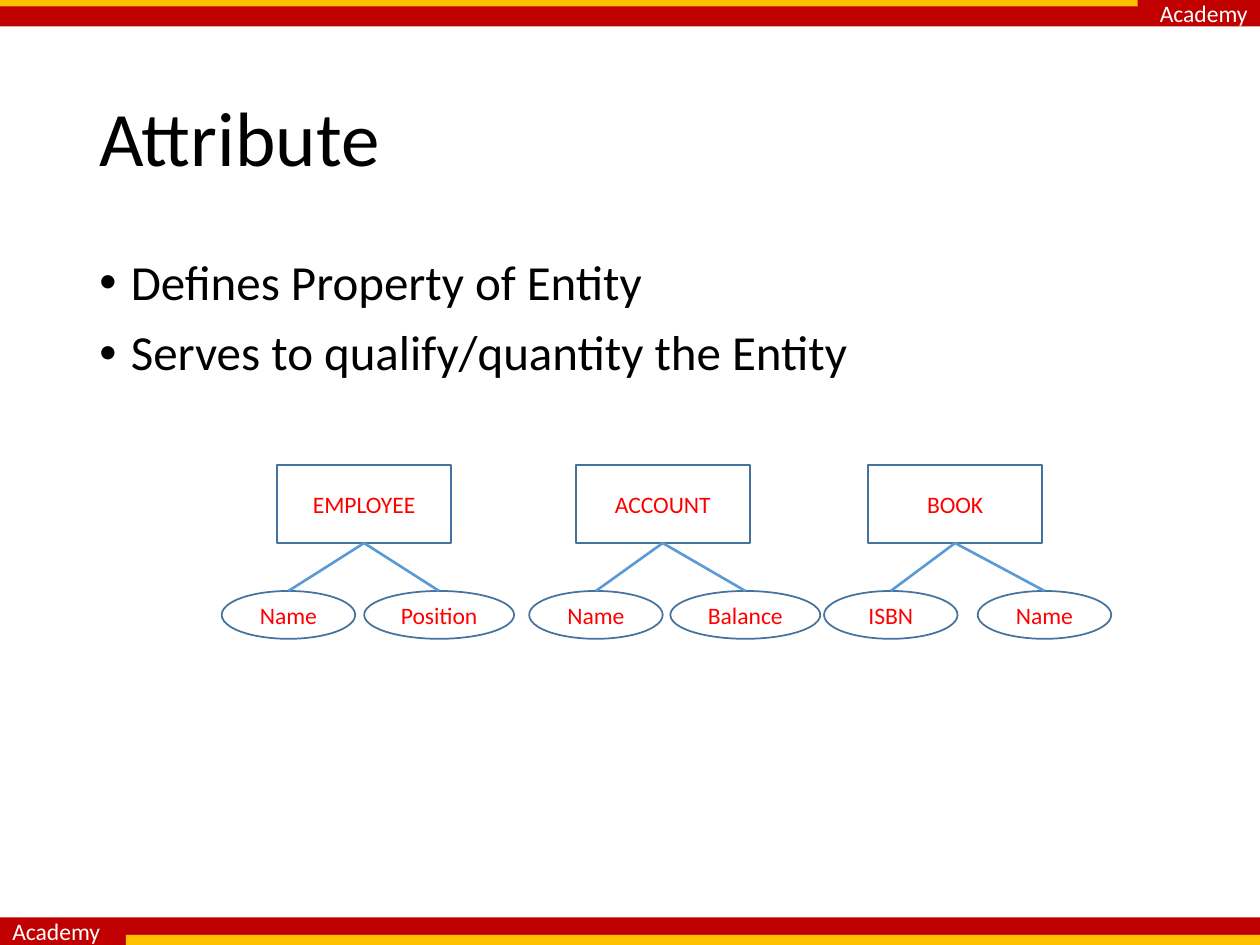
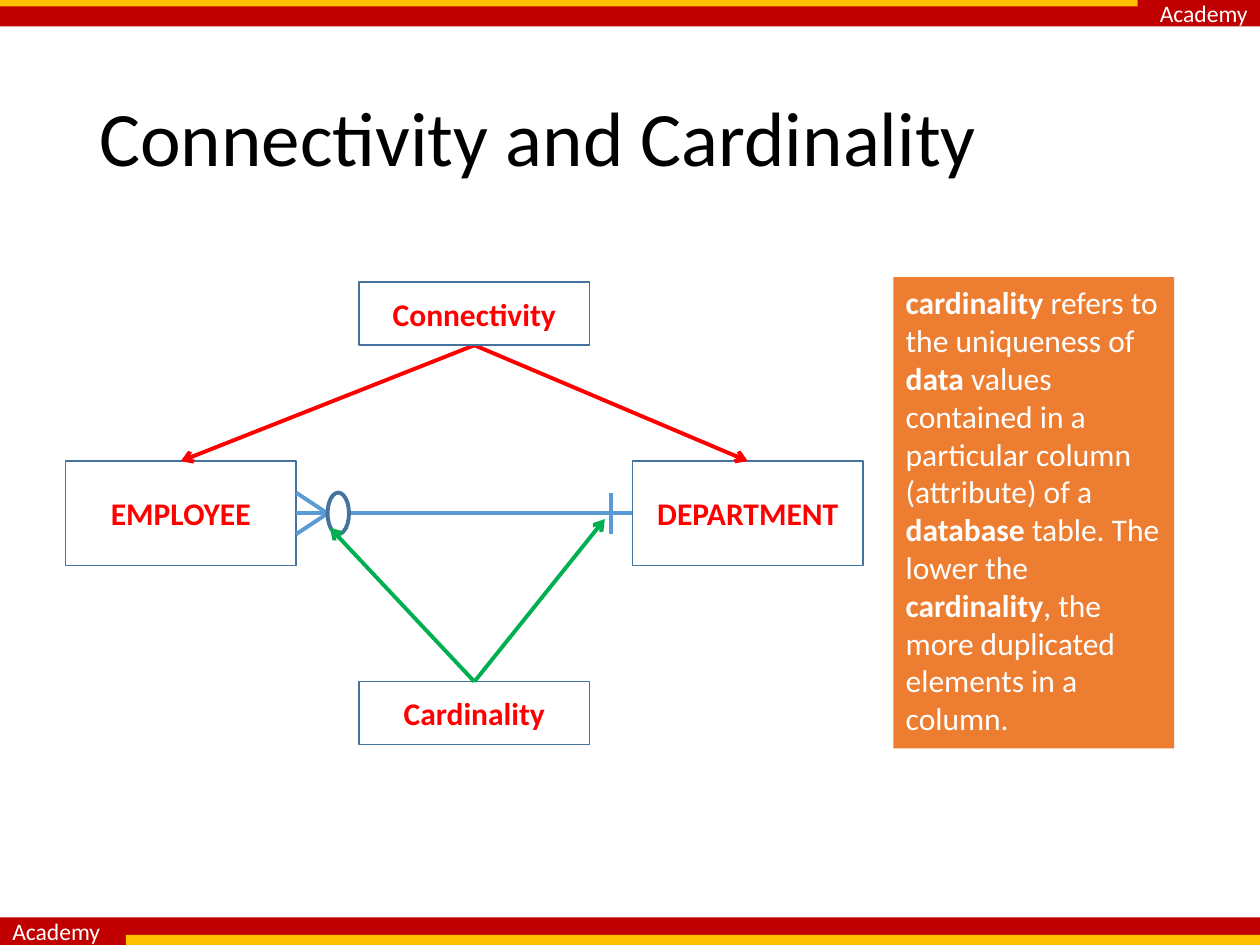
import dataclasses

import lxml.etree
import pptx
import pptx.dml.color
import pptx.enum.shapes
import pptx.enum.text
import pptx.oxml.ns
import pptx.util

SHAPE = pptx.enum.shapes.MSO_SHAPE
ALIGN = pptx.enum.text.PP_ALIGN
ANCHOR = pptx.enum.text.MSO_ANCHOR


@dataclasses.dataclass(frozen=True)
class Theme:
    """Colours, type sizes and line widths shared by the slides."""
    font: str = "Calibri"
    white: str = "FFFFFF"
    black: str = "000000"
    red: str = "FF0000"
    band: str = "C00000"
    strip: str = "FFC000"
    outline: str = "43739E"
    link: str = "5B9BD5"
    green: str = "00B050"
    note: str = "ED7D31"
    title_size: float = 44
    body_size: float = 28
    label_size: float = 18
    small_size: float = 13.5
    thin: float = 1
    medium: float = 1.5
    thick: float = 2.25


THEME = Theme()
COLUMNS, ROWS = 100, 75
BRAND = "Academy"


def colour(value):
    """Turn a hexadecimal value into a colour."""
    return pptx.dml.color.RGBColor.from_string(value)


def add_child(parent, tag, **attributes):
    """Append a drawing element to a parent element."""
    return lxml.etree.SubElement(parent, pptx.oxml.ns.qn(tag), attributes)


def write_text(shape, text, *, size, color, bold=False, align=ALIGN.LEFT,
               anchor=ANCHOR.MIDDLE, spacing=None, before=None, bullet=None):
    """Write one paragraph per line, with ** switching the weight."""
    frame = shape.text_frame
    frame.word_wrap = True
    frame.vertical_anchor = anchor
    for index, line in enumerate(text.split("\n")):
        paragraph = frame.add_paragraph() if index else frame.paragraphs[0]
        paragraph.alignment = align
        paragraph.line_spacing = spacing
        if before:
            paragraph.space_before = pptx.util.Pt(before)
        if bullet:
            properties = paragraph._p.get_or_add_pPr()
            indent = pptx.util.Inches(0.25)
            properties.set("marL", str(indent))
            properties.set("indent", str(-indent))
            add_child(properties, "a:buFont", typeface="Arial")
            add_child(properties, "a:buChar", char=bullet)
        for position, piece in enumerate(line.split("**")):
            if piece:
                run = paragraph.add_run()
                run.text = piece
                run.font.name = THEME.font
                run.font.size = pptx.util.Pt(size)
                run.font.bold = bold != (position % 2 == 1)
                run.font.color.rgb = colour(color)


class Deck:
    """Builds slides on a grid of columns and rows."""

    def __init__(self):
        """Start a presentation with a 10 by 7.5 inch slide size."""
        self.presentation = pptx.Presentation()
        self.presentation.slide_width = pptx.util.Inches(10)
        self.presentation.slide_height = pptx.util.Inches(7.5)
        self.slide = None

    def place(self, column, row):
        """Convert a column and a row to slide lengths."""
        return (round(self.presentation.slide_width * column / COLUMNS),
                round(self.presentation.slide_height * row / ROWS))

    def shape(self, kind, column, row, width, height, fill, line=None, weight=THEME.thin):
        """Add a filled preset shape with an optional outline."""
        shape = self.slide.shapes.add_shape(
            kind, *self.place(column, row), *self.place(width, height))
        shape.shadow.inherit = False
        shape.fill.solid()
        shape.fill.fore_color.rgb = colour(fill)
        if line:
            shape.line.color.rgb = colour(line)
            shape.line.width = pptx.util.Pt(weight)
        else:
            shape.line.fill.background()
        return shape

    def node(self, kind, text, column, row, width, height, **text_format):
        """Add an outlined white shape with a centred red label."""
        shape = self.shape(kind, column, row, width, height, THEME.white, THEME.outline)
        write_text(shape, text, color=THEME.red, align=ALIGN.CENTER, **text_format)

    def text(self, text, column, row, width, height, **text_format):
        """Add a text box."""
        box = self.slide.shapes.add_textbox(
            *self.place(column, row), *self.place(width, height))
        write_text(box, text, **text_format)

    def line(self, start, end, color, weight, arrow=False):
        """Add a straight line between two grid points."""
        connector = self.slide.shapes.add_connector(
            pptx.enum.shapes.MSO_CONNECTOR.STRAIGHT, *self.place(*start), *self.place(*end))
        connector.line.color.rgb = colour(color)
        connector.line.width = pptx.util.Pt(weight)
        if arrow:
            add_child(connector.line._get_or_add_ln(), "a:tailEnd", type="arrow")
        add_child(connector._element.spPr, "a:effectLst")

    def new_slide(self, title):
        """Add a blank slide with its bands, strips and title."""
        self.slide = self.presentation.slides.add_slide(self.presentation.slide_layouts[6])
        for row, height, align in ((0, 2.1, ALIGN.RIGHT), (72.8, 2.2, ALIGN.LEFT)):
            band = self.shape(SHAPE.RECTANGLE, 0, row, COLUMNS, height, THEME.band)
            write_text(band, BRAND, size=THEME.small_size, color=THEME.white, align=align)
        self.shape(SHAPE.RECTANGLE, 0, 0, 90.3, 0.5, THEME.strip)
        self.shape(SHAPE.RECTANGLE, 10, 74.2, 90, 0.8, THEME.strip)
        self.text(title, 6.9, 4, 86.2, 14.5, size=THEME.title_size,
                  color=THEME.black, spacing=0.9)


def attribute_slide(deck):
    """Show three entities, each with two attributes."""
    deck.new_slide("Attribute")
    deck.text("Defines Property of Entity\nServes to qualify/quantity the Entity",
              6.9, 20, 86.2, 47.6, size=THEME.body_size, color=THEME.black,
              anchor=ANCHOR.TOP, spacing=0.9, before=10, bullet="•")
    entity_top, entity_width, entity_height = 36.9, 13.8, 6.2
    attribute_top, attribute_height, narrow, wide = 46.9, 3.8, 10.6, 11.9
    entities = (
        ("EMPLOYEE", 22, (("Name", 17.6, narrow), ("Position", 28.9, wide))),
        ("ACCOUNT", 45.7, (("Name", 42, narrow), ("Balance", 53.2, wide))),
        ("BOOK", 68.9, (("ISBN", 65.4, narrow), ("Name", 77.6, narrow))),
    )
    for entity, left, attributes in entities:
        deck.node(SHAPE.RECTANGLE, entity, left, entity_top, entity_width, entity_height,
                  size=THEME.small_size)
        bottom = (left + entity_width / 2, entity_top + entity_height)
        for attribute, column, width in attributes:
            deck.node(SHAPE.OVAL, attribute, column, attribute_top, width,
                      attribute_height, size=THEME.small_size)
            deck.line(bottom, (column + width / 2, attribute_top), THEME.link, THEME.medium)


def cardinality_slide(deck):
    """Show a crow's foot relation with its connectivity and cardinality."""
    deck.new_slide("Connectivity and Cardinality")
    note = deck.shape(SHAPE.RECTANGLE, 70.9, 22, 22.3, 37.4, THEME.note)
    write_text(note, "**cardinality** refers to the uniqueness of **data** values contained in a "
               "particular column (attribute) of a **database** table. The lower "
               "the **cardinality**, the more duplicated elements in a column.",
               size=THEME.label_size, color=THEME.white, anchor=ANCHOR.TOP)

    width, entity_top, entity_height, label_height = 18.3, 36.6, 8.3, 5
    employee, department, label = 5.2, 50.2, 28.5
    connectivity_top, cardinality_top = 22.4, 54.1
    label_center = label + width / 2
    middle = entity_top + entity_height / 2
    edge, foot, bar, spread = employee + width, 26, 48.5, 1.65

    for entity, left in (("EMPLOYEE", employee), ("DEPARTMENT", department)):
        deck.node(SHAPE.RECTANGLE, entity, left, entity_top, width, entity_height,
                  size=THEME.label_size, bold=True)
    for start, end in (
        ((edge, middle), (department, middle)),
        ((foot, middle), (edge, middle - spread)),
        ((foot, middle), (edge, middle + spread)),
        ((bar, middle - spread), (bar, middle + spread)),
    ):
        deck.line(start, end, THEME.link, THEME.thick)
    deck.shape(SHAPE.OVAL, foot, middle - spread, 1.7, 2 * spread,
               THEME.white, THEME.outline, THEME.thick)

    for left in (employee, department):
        deck.line((label_center, connectivity_top + label_height),
                  (left + width / 2, entity_top), THEME.red, THEME.thick, arrow=True)
    for text, top in (("Connectivity", connectivity_top), ("Cardinality", cardinality_top)):
        deck.node(SHAPE.RECTANGLE, text, label, top, width, label_height,
                  size=THEME.label_size, bold=True)
    for target in ((26.2, 41.9), (48, 41.2)):
        deck.line((label_center, cardinality_top), target, THEME.green, THEME.thick, arrow=True)


def main():
    """Build both slides and save the presentation."""
    deck = Deck()
    attribute_slide(deck)
    cardinality_slide(deck)
    deck.presentation.save("out.pptx")


if __name__ == "__main__":
    main()
